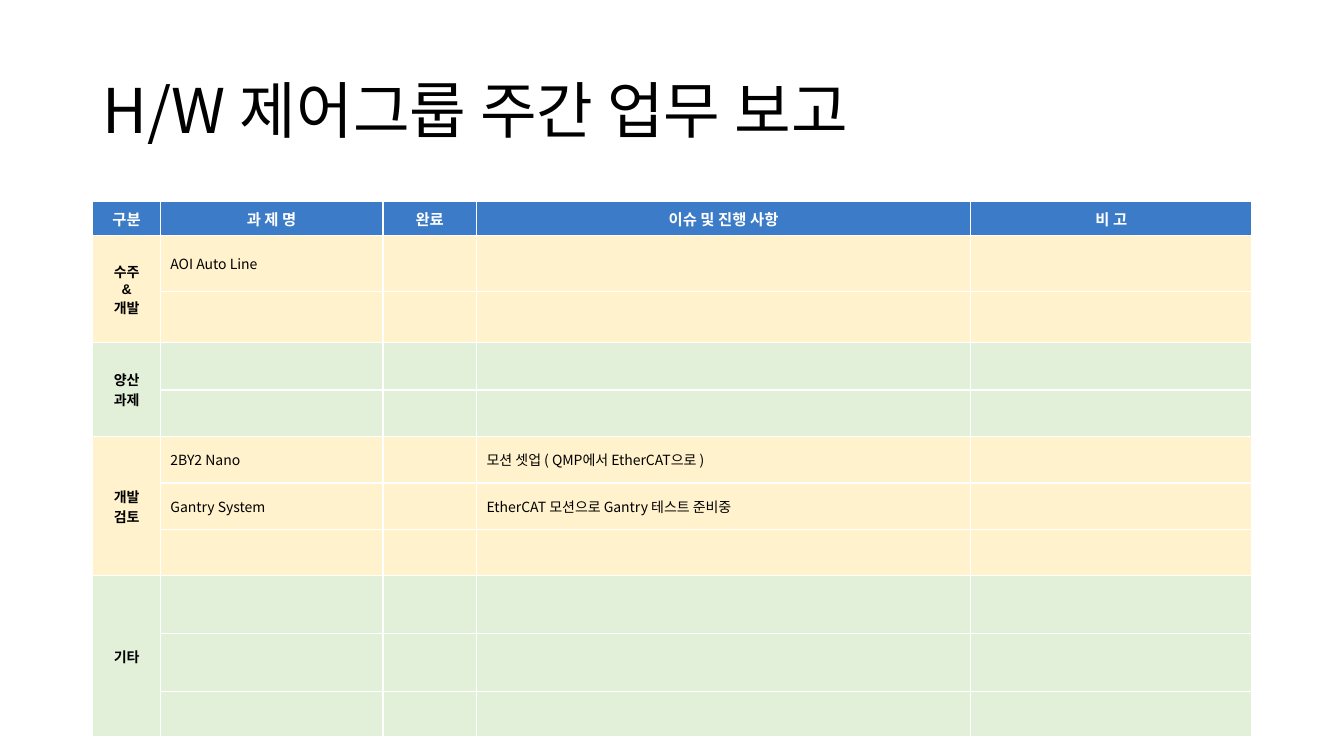
import pptx
import pptx.util
import pptx.dml.color
import pptx.enum.text
import pptx.oxml.ns
from lxml import etree

TITLE = "H/W 제어그룹 주간 업무 보고"
HEADINGS = ["구분", "과 제 명", "완료", "이슈 및 진행 사항", "비 고"]
GROUPS = [
    ("수주\n&\n개발", "cream", [("AOI Auto Line", ""), ("", "")]),
    ("양산\n과제", "mint", [("", ""), ("", "")]),
    ("개발\n검토", "cream", [
        ("2BY2 Nano", "모션 셋업 ( QMP에서 EtherCAT으로 )"),
        ("Gantry System", "EtherCAT 모션으로 Gantry 테스트 준비중"),
        ("", ""),
    ]),
    ("기타", "mint", [("", ""), ("", ""), ("", "")]),
]
COLORS = {"header": "3C7BC7", "cream": "FFF2CC", "mint": "E2F0D9",
          "white": "FFFFFF", "black": "000000"}
COLUMN_WIDTHS = [1.7, 5.61, 2.36, 12.45, 7.09]
ROW_HEIGHTS = [0.86, 1.4, 1.3, 1.19, 1.17, 1.17, 1.17, 1.17, 1.45, 1.47, 1.14]
LEFT, TITLE_TOP, TITLE_HEIGHT, TABLE_TOP = 2.34, 1.02, 3.68, 5.08
KOREAN_FONT = "Noto Sans CJK KR"

Cm = pptx.util.Cm
PP_ALIGN = pptx.enum.text.PP_ALIGN
MIDDLE = pptx.enum.text.MSO_ANCHOR.MIDDLE


def color(name):
    return pptx.dml.color.RGBColor.from_string(COLORS[name])


def write(frame, text, size, ink="black", latin=KOREAN_FONT, bold=False, align=PP_ALIGN.LEFT):
    frame.text = text
    for para in frame.paragraphs:
        para.alignment = align
        font = para.font
        font.size = pptx.util.Pt(size)
        font.bold = bold
        font.name = latin
        font.color.rgb = color(ink)
        properties = para._p.pPr.find(pptx.oxml.ns.qn("a:defRPr"))
        east_asian = etree.SubElement(properties, pptx.oxml.ns.qn("a:ea"))
        east_asian.set("typeface", KOREAN_FONT)


def fill_cell(cell, shade):
    cell.fill.solid()
    cell.fill.fore_color.rgb = color(shade)
    cell.vertical_anchor = MIDDLE


def add_title(page):
    box = page.shapes.add_textbox(Cm(LEFT), Cm(TITLE_TOP), Cm(sum(COLUMN_WIDTHS)), Cm(TITLE_HEIGHT))
    frame = box.text_frame
    frame.word_wrap = True
    frame.vertical_anchor = MIDDLE
    write(frame, TITLE, 44)
    frame.paragraphs[0].line_spacing = 0.9


def add_report(page):
    table = page.shapes.add_table(
        len(ROW_HEIGHTS), len(COLUMN_WIDTHS), Cm(LEFT), Cm(TABLE_TOP),
        Cm(sum(COLUMN_WIDTHS)), Cm(sum(ROW_HEIGHTS))).table
    table.horz_banding = False
    for column, width in zip(table.columns, COLUMN_WIDTHS):
        column.width = Cm(width)
    for row, height in zip(table.rows, ROW_HEIGHTS):
        row.height = Cm(height)

    for cell, heading in zip(table.rows[0].cells, HEADINGS):
        fill_cell(cell, "header")
        write(cell.text_frame, heading, 11, "white", "Arial", True, PP_ALIGN.CENTER)

    first = 1
    for label, shade, tasks in GROUPS:
        for index, (task, progress) in enumerate(tasks, first):
            for cell, text in zip(table.rows[index].cells, ["", task, "", progress, ""]):
                fill_cell(cell, shade)
                if text:
                    write(cell.text_frame, text, 10)
        group = table.cell(first, 0)
        group.merge(table.cell(first + len(tasks) - 1, 0))
        write(group.text_frame, label, 10, "black", "Arial", True, PP_ALIGN.CENTER)
        first += len(tasks)


def main():
    deck = pptx.Presentation()
    deck.slide_width, deck.slide_height = Cm(33.87), Cm(19.05)
    page = deck.slides.add_slide(deck.slide_layouts[6])
    add_title(page)
    add_report(page)
    deck.save("out.pptx")


if __name__ == "__main__":
    main()
